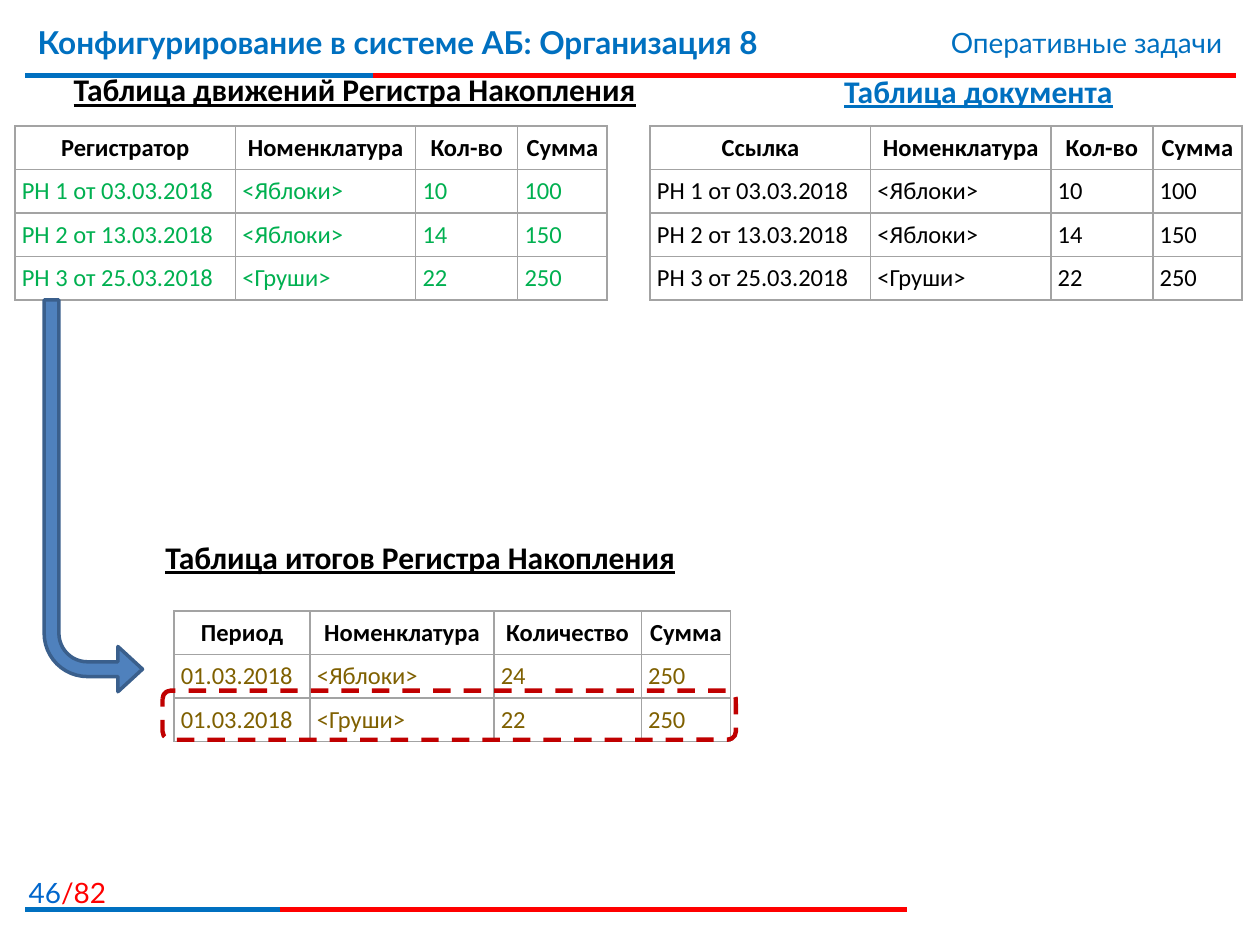
from lxml import etree
from pptx import Presentation
from pptx.dml.color import RGBColor
from pptx.enum.dml import MSO_LINE
from pptx.enum.shapes import MSO_CONNECTOR, MSO_SHAPE
from pptx.enum.text import PP_ALIGN
from pptx.oxml.ns import qn
from pptx.util import Pt

LEFT, CENTER, RIGHT = PP_ALIGN.LEFT, PP_ALIGN.CENTER, PP_ALIGN.RIGHT
STRAIGHT = MSO_CONNECTOR.STRAIGHT
BENT_ARROW, ROUND_RECT = MSO_SHAPE.BENT_ARROW, MSO_SHAPE.ROUNDED_RECTANGLE
DASH = MSO_LINE.DASH

COLORS = {
    "black": "000000", "blue": "0070C0", "page": "0066CC", "red": "FF0000",
    "green": "00B050", "olive": "7F6000", "border": "A3A3A3",
    "arrow": "4F81BD", "arrow_line": "3A5F8C", "frame": "C00000",
}
ROW_H = 24.84
INSET = 3.9

MOVES = [
    ["РН 1 от 03.03.2018", "<Яблоки>", "10", "100"],
    ["РН 2 от 13.03.2018", "<Яблоки>", "14", "150"],
    ["РН 3 от 25.03.2018", "<Груши>", "22", "250"],
]
MOVE_HEAD = ["Номенклатура", "Кол-во", "Сумма"]
MOVE_COLS = [126, 103, 58.3, 51.1]
TOTALS = [
    ["Период", "Номенклатура", "Количество", "Сумма"],
    ["01.03.2018", "<Яблоки>", "24", "250"],
    ["01.03.2018", "<Груши>", "22", "250"],
]
TOTAL_COLS = [77.8, 105.1, 84.2, 51.1]


def rgb(name):
    return RGBColor.from_string(COLORS[name])


def add_run(p, text, size, color, font="Calibri", bold=False, underline=False):
    r = p.add_run()
    r.text = text
    r.font.size = Pt(size)
    r.font.name = font
    r.font.bold = bold
    r.font.underline = underline
    r.font.color.rgb = rgb(color)


def add_text(s, box, align):
    """Add an empty text box and return its paragraph."""
    tf = s.shapes.add_textbox(*map(Pt, box)).text_frame
    tf.word_wrap = True
    p = tf.paragraphs[0]
    p.alignment = align
    return p


def add_heading(s, box, text, color="black"):
    add_run(add_text(s, box, CENTER), text, 18, color, bold=True, underline=True)


def add_rule(s, y, x_split, x_end):
    """Red line with a blue start."""
    for x, color in ((x_end, "red"), (x_split, "blue")):
        line = s.shapes.add_connector(STRAIGHT, Pt(14.4), Pt(y), Pt(x), Pt(y))
        line.line.color.rgb = rgb(color)
        line.line.width = Pt(3)
        etree.SubElement(line._element.spPr, qn("a:effectLst"))


def set_borders(cell):
    tc_pr = cell._tc.get_or_add_tcPr()
    for i, side in enumerate(("lnL", "lnR", "lnT", "lnB")):
        ln = etree.Element(qn("a:" + side), w=str(Pt(1)))
        fill = etree.SubElement(ln, qn("a:solidFill"))
        etree.SubElement(fill, qn("a:srgbClr"), val=COLORS["border"])
        tc_pr.insert(i, ln)


def add_grid(s, x, y, cols, rows, body_color):
    frame = s.shapes.add_table(len(rows), len(cols), Pt(x), Pt(y),
                               Pt(sum(cols)), Pt(ROW_H * len(rows)))
    table = frame.table
    table.horz_banding = False
    for col, width in zip(table.columns, cols):
        col.width = Pt(width)
    for i, values in enumerate(rows):
        table.rows[i].height = Pt(ROW_H)
        head = i == 0
        for j, text in enumerate(values):
            cell = table.cell(i, j)
            cell.fill.background()
            cell.margin_left = cell.margin_right = Pt(INSET)
            cell.margin_top = cell.margin_bottom = Pt(INSET)
            set_borders(cell)
            p = cell.text_frame.paragraphs[0]
            p.alignment = CENTER if head else LEFT
            add_run(p, text, 14, "black" if head else body_color, bold=head)


def add_outline(s, kind, box, color, width):
    sp = s.shapes.add_shape(kind, *map(Pt, box))
    sp.shadow.inherit = False
    sp.fill.background()
    sp.line.color.rgb = rgb(color)
    sp.line.width = Pt(width)
    return sp


def main():
    prs = Presentation()
    prs.slide_width, prs.slide_height = Pt(720), Pt(540)
    s = prs.slides.add_slide(prs.slide_layouts[6])

    # Header and footer
    add_rule(s, 43.2, 213.1, 706.3)
    p = add_text(s, (-7.2, 496.8, 74.9, 23), RIGHT)
    add_run(p, "46", 16, "page", "Lato")
    add_run(p, "/82", 16, "red", "Lato")
    add_rule(s, 519.8, 159.8, 518.4)
    p = add_text(s, (14.4, 9.4, 532.8, 44.6), LEFT)
    add_run(p, "Конфигурирование в системе АБ: Организация 8", 18, "blue", "Lato", bold=True)
    p = add_text(s, (427.7, 10.8, 277.9, 26.6), RIGHT)
    add_run(p, "Оперативные задачи", 16, "blue", "Lato")

    # Table headings
    add_heading(s, (400.3, 37.4, 317.5, 28.8), "Таблица документа", "blue")
    add_heading(s, (20.2, 36.7, 365, 28.8), "Таблица движений Регистра Накопления")
    add_heading(s, (81.4, 303.8, 317.5, 28.8), "Таблица итогов Регистра Накопления")

    # Register movements, document and totals
    for x, first, color in ((8.6, "Регистратор", "green"), (371.5, "Ссылка", "black")):
        add_grid(s, x, 72, MOVE_COLS, [[first] + MOVE_HEAD] + MOVES, color)
    add_grid(s, 99.4, 349.2, TOTAL_COLS, TOTALS, "olive")

    # Arrow from movements to totals
    arrow = add_outline(s, BENT_ARROW, (25.2, 171.4, 56.2, 223.9), "arrow_line", 2)
    arrow.fill.solid()
    arrow.fill.fore_color.rgb = rgb("arrow")
    for i, value in enumerate((0.15, 0.23, 0.25, 0.44)):
        arrow.adjustments[i] = value
    arrow.rotation = 180
    arrow._element.spPr.xfrm.set("flipH", "1")

    # Dashed frame around the last total
    frame = add_outline(s, ROUND_RECT, (92.9, 394.6, 327.6, 28.1), "frame", 2.5)
    frame.line.dash_style = DASH

    prs.save("out.pptx")


if __name__ == "__main__":
    main()
